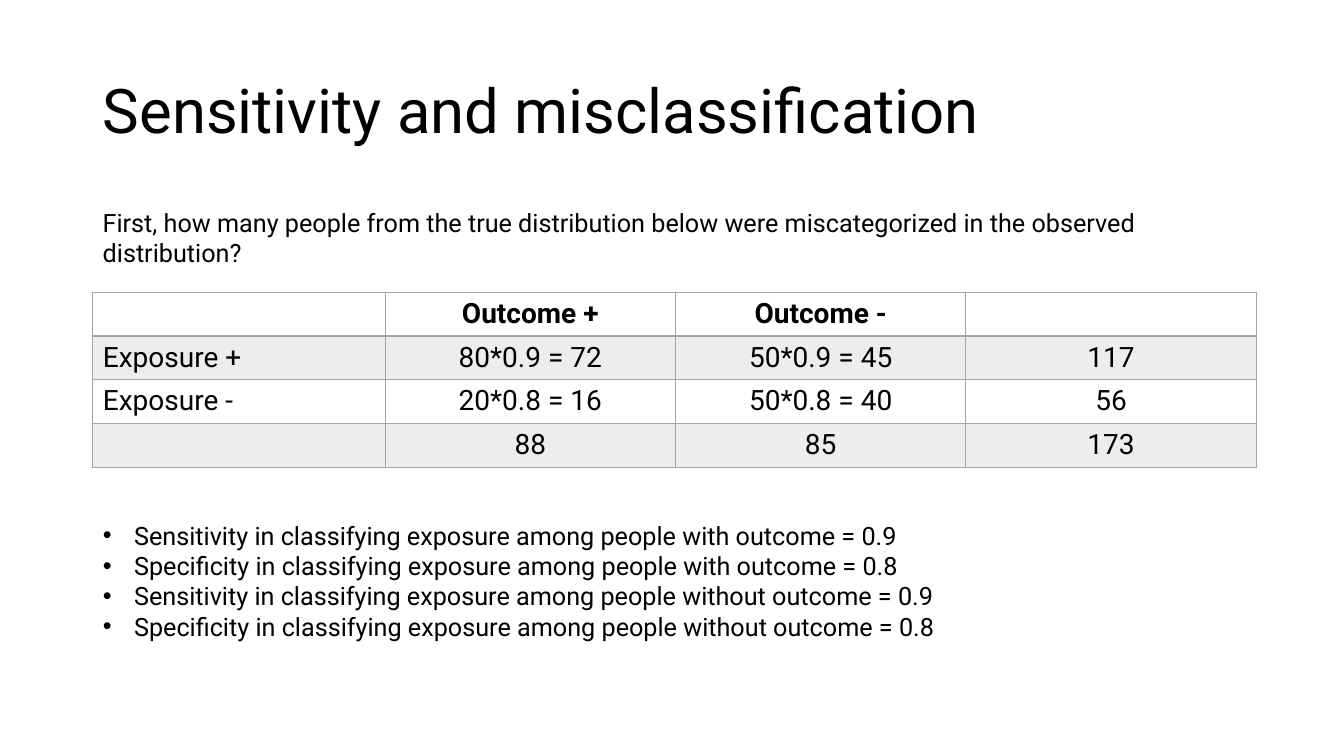
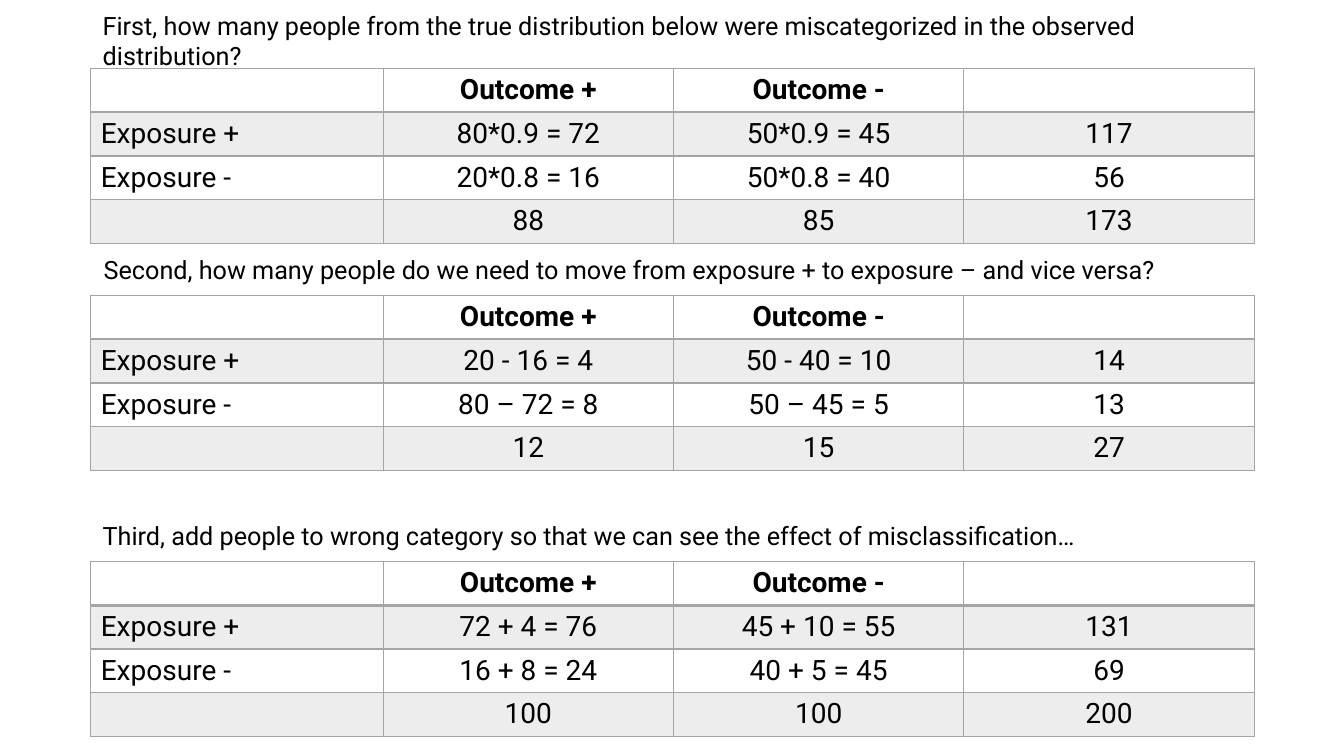
from dataclasses import dataclass

from lxml.etree import SubElement as add_element
from pptx import Presentation
from pptx.dml.color import RGBColor
from pptx.enum.text import MSO_ANCHOR as Anchor, MSO_AUTO_SIZE as AutoSize, PP_ALIGN as Align
from pptx.oxml.ns import qn
from pptx.util import Inches, Pt


@dataclass(frozen=True)
class Theme:
    font: str = "Roboto"
    ink: str = "000000"
    grey: str = "A5A5A5"
    band_opacity: int = 20
    title_size: int = 44
    body_size: int = 18
    cell_size: int = 20
    thin: int = 1
    thick: int = 2


@dataclass(frozen=True)
class Box:
    left: float
    top: float
    width: float
    height: float

    def lengths(self):
        return [Inches(side) for side in (self.left, self.top, self.width, self.height)]


THEME = Theme()
LEFT, WIDTH = 0.92, 11.52
TABLE_LEFT = 0.9
FIRST_COLUMN, OTHER_COLUMN = 2.9, 2.88
BULLET_INDENT = 0.31

FIRST_QUESTION = ("First, how many people from the true distribution below were "
                  "miscategorized in the observed distribution?")
SECOND_QUESTION = "Second, how many people do we need to move from exposure + to exposure – and vice versa?"
THIRD_STEP = "Third, add people to wrong category so that we can see the effect of misclassification…"

HEADINGS = ["", "Outcome +", "Outcome -", ""]
ROW_LABELS = ["Exposure +", "Exposure -", ""]
CLASSIFIED = [["80*0.9 = 72", "50*0.9 = 45", "117"],
              ["20*0.8 = 16", "50*0.8 = 40", "56"],
              ["88", "85", "173"]]
MOVED = [["20 - 16 = 4", "50 - 40 = 10", "14"],
         ["80 – 72 = 8", "50 – 45 = 5", "13"],
         ["12", "15", "27"]]
OBSERVED = [["72 + 4 = 76", "45 + 10 = 55", "131"],
            ["16 + 8 = 24", "40 + 5 = 45", "69"],
            ["100", "100", "200"]]


def style_para(para, size, bold=False, align=Align.LEFT):
    para.alignment = align
    for span in para.runs:
        span.font.name = THEME.font
        span.font.size = Pt(size)
        span.font.bold = bold
        span.font.color.rgb = RGBColor.from_string(THEME.ink)


def place(shape, box):
    shape.left, shape.top, shape.width, shape.height = box.lengths()


def add_title(page, text, box):
    title = page.shapes.title
    place(title, box)
    frame = title.text_frame
    frame.text = text
    frame.auto_size = AutoSize.NONE
    frame.vertical_anchor = Anchor.MIDDLE
    frame.paragraphs[0].line_spacing = 0.9
    style_para(frame.paragraphs[0], THEME.title_size)


def add_bullets(page, lines, box):
    body = page.placeholders[1]
    place(body, box)
    frame = body.text_frame
    frame.text = "\n".join(lines)
    frame.auto_size = AutoSize.NONE
    for para in frame.paragraphs:
        properties = para._p.get_or_add_pPr()
        properties.set("marL", str(Inches(BULLET_INDENT)))
        properties.set("indent", str(-Inches(BULLET_INDENT)))
        add_element(properties, qn("a:buChar"), char="•")
        para.space_before = Pt(0)
        style_para(para, THEME.body_size)


def add_question(page, text, box):
    frame = page.shapes.add_textbox(*box.lengths()).text_frame
    frame.word_wrap = True
    frame.auto_size = AutoSize.SHAPE_TO_FIT_TEXT
    frame.text = text
    style_para(frame.paragraphs[0], THEME.body_size)


def set_borders(cell, row):
    widths = {"a:lnL": THEME.thin, "a:lnR": THEME.thin,
              "a:lnT": THEME.thick if row == 1 else THEME.thin,
              "a:lnB": THEME.thick if row == 0 else THEME.thin}
    properties = cell._tc.get_or_add_tcPr()
    for side, width in widths.items():
        line = add_element(properties, qn(side), w=str(Pt(width)))
        add_element(add_element(line, qn("a:solidFill")), qn("a:srgbClr"), val=THEME.grey)


def set_band(cell, row):
    if row % 2 == 0:
        cell.fill.background()
        return
    cell.fill.solid()
    cell.fill.fore_color.rgb = RGBColor.from_string(THEME.grey)
    colour = cell._tc.tcPr.find(qn("a:solidFill")).find(qn("a:srgbClr"))
    add_element(colour, qn("a:alpha"), val=str(THEME.band_opacity * 1000))


def add_exposure_table(page, values, box):
    rows = [HEADINGS] + [[label] + counts for label, counts in zip(ROW_LABELS, values)]
    table = page.shapes.add_table(len(rows), len(HEADINGS), *box.lengths()).table
    table.first_row = table.horz_banding = False
    for index, column in enumerate(table.columns):
        column.width = Inches(OTHER_COLUMN if index else FIRST_COLUMN)
    for row, texts in enumerate(rows):
        for column, text in enumerate(texts):
            cell = table.cell(row, column)
            set_borders(cell, row)
            set_band(cell, row)
            if text:
                cell.text_frame.text = text
                style_para(cell.text_frame.paragraphs[0], THEME.cell_size, bold=row == 0,
                           align=Align.CENTER if column else Align.LEFT)


def build_sensitivity_page(deck):
    page = deck.slides.add_slide(deck.slide_layouts[1])
    add_title(page, "Sensitivity and misclassification", Box(LEFT, 0.4, 11.5, 1.45))
    add_question(page, FIRST_QUESTION, Box(LEFT, 2.01, WIDTH, 0.71))
    add_exposure_table(page, CLASSIFIED, Box(LEFT, 2.9, WIDTH, 1.71))
    add_bullets(page, [f"{measure} in classifying exposure among people {group} outcome = {value}"
                       for group in ("with", "without")
                       for measure, value in (("Sensitivity", 0.9), ("Specificity", 0.8))],
                Box(LEFT, 5.11, 11.5, 1.31))


def build_steps_page(deck):
    page = deck.slides.add_slide(deck.slide_layouts[6])
    steps = [(FIRST_QUESTION, Box(LEFT, 0.05, WIDTH, 0.71), CLASSIFIED, 0.68, 1.71),
             (SECOND_QUESTION, Box(0.93, 2.47, WIDTH, 0.4), MOVED, 2.93, 1.74),
             (THIRD_STEP, Box(LEFT, 5.11, WIDTH, 0.4), OBSERVED, 5.57, 1.74)]
    for question, question_box, values, top, height in steps:
        add_question(page, question, question_box)
        add_exposure_table(page, values, Box(TABLE_LEFT, top, WIDTH, height))


def main():
    deck = Presentation()
    deck.slide_width, deck.slide_height = Inches(13.33), Inches(7.5)
    build_sensitivity_page(deck)
    build_steps_page(deck)
    deck.save("out.pptx")


if __name__ == "__main__":
    main()
